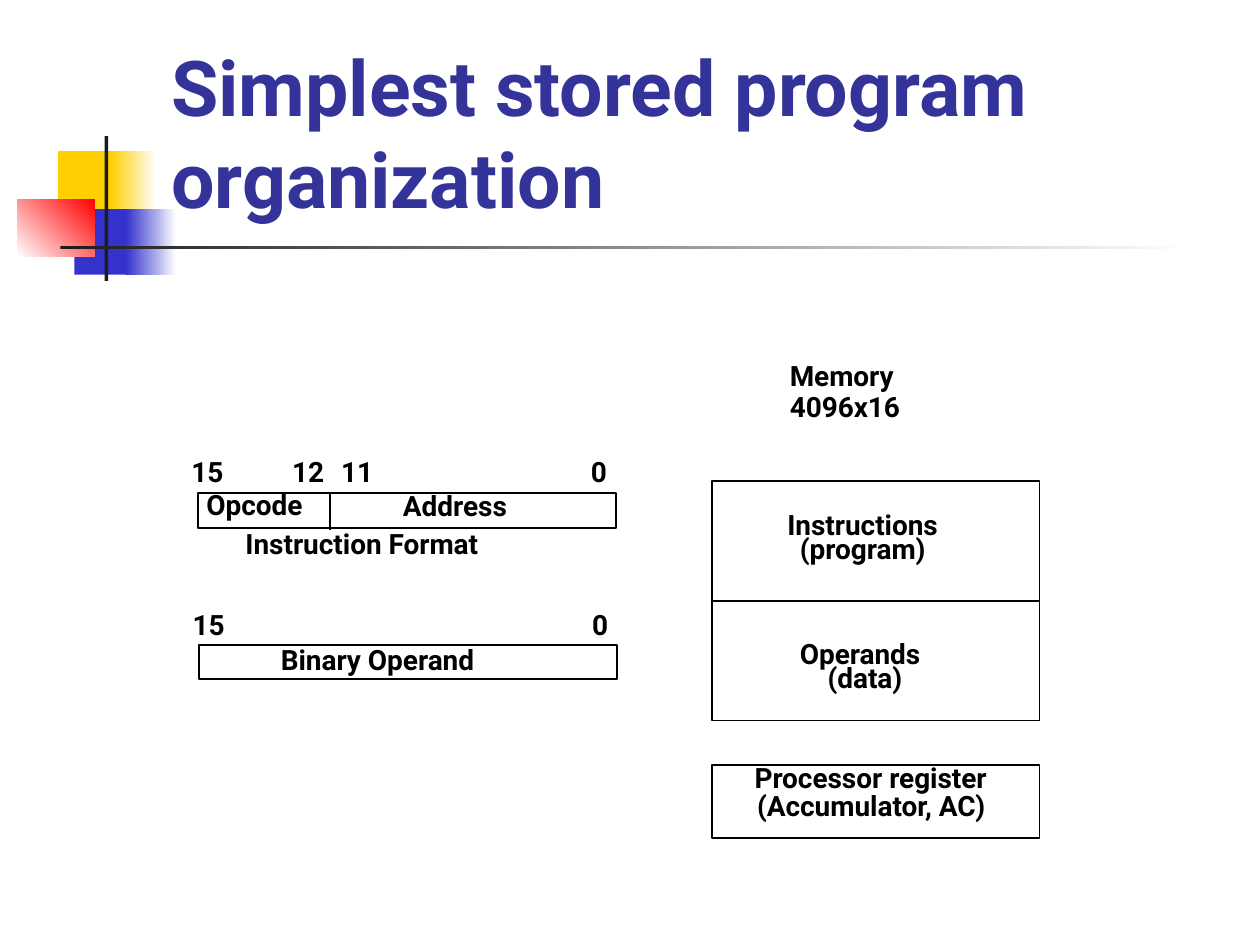
"""Build a slide on the simplest stored program organization."""
from dataclasses import dataclass

from lxml.etree import SubElement
from pptx import Presentation
from pptx.dml.color import RGBColor
from pptx.enum.shapes import MSO_CONNECTOR, MSO_SHAPE
from pptx.enum.text import MSO_ANCHOR
from pptx.oxml.ns import qn
from pptx.util import Inches, Pt


@dataclass(frozen=True)
class Theme:
    """Colours, font and sizes of the slide."""
    font: str = "Roboto"
    title_size: int = 44
    label_size: int = 16
    line_width: int = 1
    title: str = "333399"
    ink: str = "000000"
    yellow: str = "FFCF01"
    blue: str = "3333CC"
    red: str = "FF0000"
    rule: str = "1C1C1C"
    white: str = "FFFFFF"


THEME = Theme()


def add_rectangle(page, left, top, width, height):
    """Add a rectangle without shadow, fill or line."""
    box = page.shapes.add_shape(
        MSO_SHAPE.RECTANGLE, Inches(left), Inches(top), Inches(width), Inches(height))
    box.shadow.inherit = False
    box.fill.background()
    box.line.fill.background()
    return box


def add_block(page, place, colours, angle=0):
    """Add a decorative block in one colour or in a two-colour gradient."""
    fill = add_rectangle(page, *place).fill
    if len(colours) == 1:
        fill.solid()
        fill.fore_color.rgb = RGBColor.from_string(colours[0])
        return
    fill.gradient()
    fill.gradient_angle = angle
    for stop, colour in zip(fill.gradient_stops, colours):
        stop.color.rgb = RGBColor.from_string(colour)


def style_line(line):
    """Give an outline or connector the diagram's line style."""
    line.color.rgb = RGBColor.from_string(THEME.ink)
    line.width = Pt(THEME.line_width)


def add_frame(page, left, top, width, height):
    """Add an outlined box of the diagram."""
    box = add_rectangle(page, left, top, width, height)
    style_line(box.line)
    return box


def add_divider(page, start, end):
    """Add a straight dividing line."""
    divider = page.shapes.add_connector(
        MSO_CONNECTOR.STRAIGHT, *map(Inches, start), *map(Inches, end))
    style_line(divider.line)
    SubElement(divider.element.spPr, qn("a:effectLst"))
    return divider


def add_text(page, place, text, size, colour, spacing=None):
    """Add a bold text box and return its frame."""
    frame = page.shapes.add_textbox(*map(Inches, place)).text_frame
    frame.word_wrap = True
    frame.text = text
    for para in frame.paragraphs:
        para.line_spacing = spacing
        for span in para.runs:
            span.font.name = THEME.font
            span.font.size = Pt(size)
            span.font.bold = True
            span.font.color.rgb = RGBColor.from_string(colour)
    return frame


def add_label(page, left, top, width, text):
    """Add a diagram label."""
    height = 0.65 if "\n" in text else 0.38
    add_text(page, (left, top, width, height), text, THEME.label_size, THEME.ink, 0.9)


def add_decoration(page):
    """Draw the coloured blocks and the rules beside the title."""
    add_block(page, (0.46, 1.2, 0.48, 0.52), [THEME.yellow])
    add_block(page, (0.88, 1.2, 0.36, 0.52), [THEME.yellow, THEME.white])
    add_block(page, (0.59, 1.66, 0.46, 0.52), [THEME.blue])
    add_block(page, (1, 1.66, 0.4, 0.52), [THEME.blue, THEME.white])
    add_block(page, (0.14, 1.58, 0.61, 0.46), [THEME.white, THEME.red], angle=45)
    add_block(page, (0.83, 1.08, 0.03, 1.15), [THEME.rule])
    add_block(page, (0.48, 1.95, 9, 0.03), [THEME.rule, THEME.white])


def add_formats(page):
    """Draw the instruction and operand formats with their bit numbers."""
    add_frame(page, 1.57, 3.91, 3.32, 0.28)
    add_divider(page, (2.62, 3.91), (2.62, 4.21))
    add_frame(page, 1.58, 5.12, 3.32, 0.27)
    for left, top, width, text in (
        (1.42, 3.59, 0.5, "15"),
        (2.22, 3.59, 0.5, "12"),
        (2.61, 3.59, 0.5, "11"),
        (4.59, 3.59, 0.35, "0"),
        (1.54, 3.85, 1.11, "Opcode"),
        (3.1, 3.86, 1.16, "Address"),
        (1.85, 4.16, 2.5, "Instruction Format"),
        (1.43, 4.8, 0.5, "15"),
        (4.6, 4.8, 0.35, "0"),
        (2.13, 5.08, 2.09, "Binary Operand"),
    ):
        add_label(page, left, top, width, text)


def add_memory(page):
    """Draw the memory halves and the processor register."""
    memory = add_frame(page, 5.65, 3.82, 2.6, 1.9)
    divider = add_divider(page, (5.65, 4.77), (8.25, 4.77))
    divider.begin_connect(memory, 1)
    divider.end_connect(memory, 3)
    add_frame(page, 5.65, 6.07, 2.6, 0.58)
    for left, top, width, text in (
        (6.17, 2.83, 1.27, "Memory\n4096x16"),
        (6.15, 4.01, 1.68, "Instructions"),
        (6.25, 4.2, 1.45, "(program)"),
        (6.25, 5.03, 1.36, "Operands"),
        (6.47, 5.22, 0.96, "(data)"),
        (5.89, 6.02, 2.4, "Processor register"),
        (5.91, 6.24, 2.42, "(Accumulator, AC)"),
    ):
        add_label(page, left, top, width, text)


def main():
    """Build and save the deck."""
    deck = Presentation()
    deck.slide_width, deck.slide_height = Inches(10), Inches(7.5)
    page = deck.slides.add_slide(deck.slide_layouts[6])
    add_decoration(page)
    add_formats(page)
    add_memory(page)
    title = add_text(page, (1.26, 0.23, 8.52, 1.6),
                     "Simplest stored program organization", THEME.title_size, THEME.title)
    title.vertical_anchor = MSO_ANCHOR.BOTTOM
    deck.save("out.pptx")


if __name__ == "__main__":
    main()
